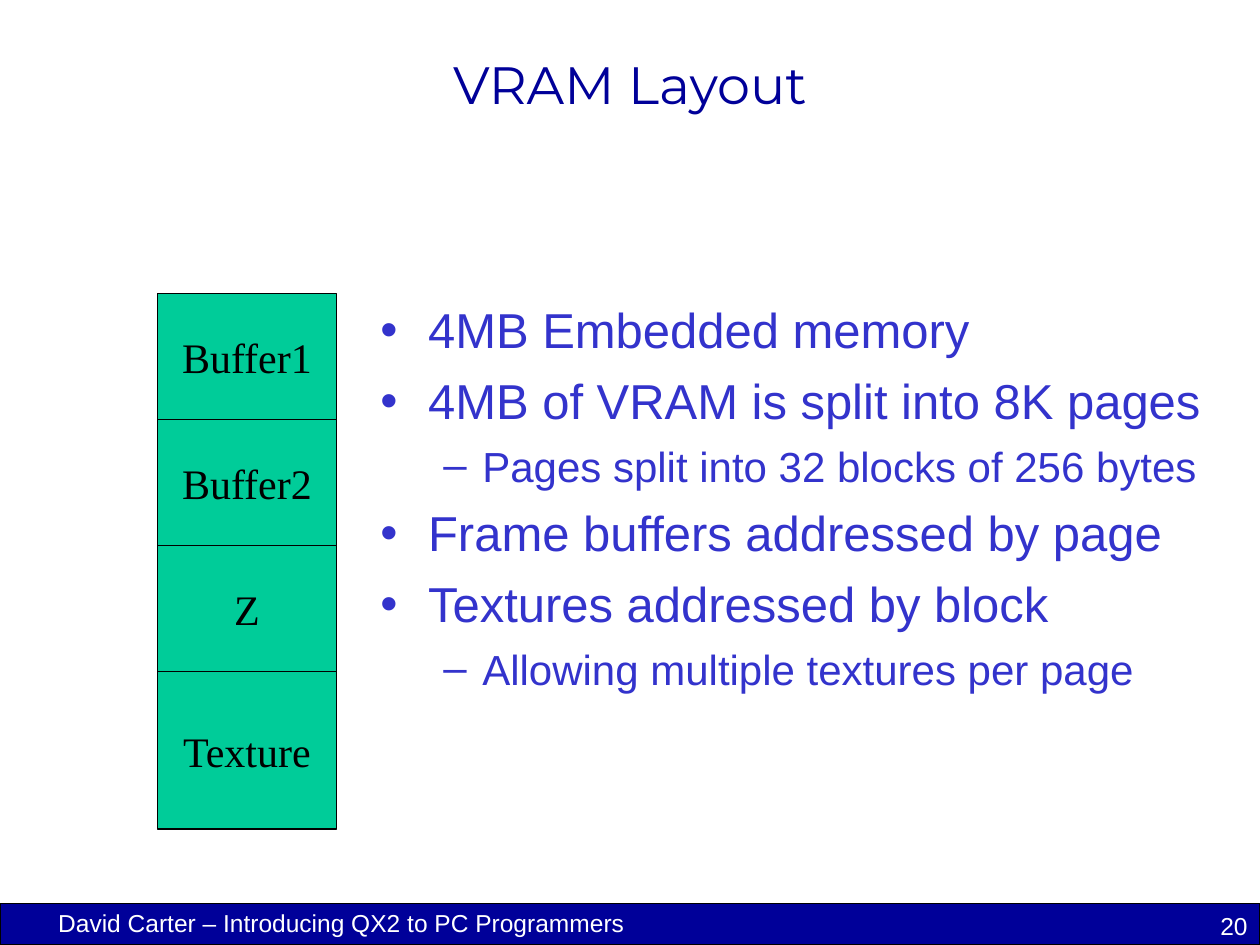
from lxml import etree
from pptx import Presentation
from pptx.dml.color import RGBColor
from pptx.enum.shapes import MSO_SHAPE
from pptx.enum.text import MSO_ANCHOR, PP_ALIGN
from pptx.oxml.ns import qn
from pptx.util import Inches, Pt

RECTANGLE = MSO_SHAPE.RECTANGLE
TOP, MIDDLE = MSO_ANCHOR.TOP, MSO_ANCHOR.MIDDLE
LEFT, CENTER, RIGHT = PP_ALIGN.LEFT, PP_ALIGN.CENTER, PP_ALIGN.RIGHT

COLORS = {
    "navy": "000099",
    "body": "3333CC",
    "memory": "00CC99",
    "black": "000000",
    "white": "FFFFFF",
}
TITLE = "VRAM Layout"
FOOTER = "David Carter – Introducing QX2 to PC Programmers"
PAGE_NUMBER = "20"
POINTS = [
    (0, "4MB Embedded memory"),
    (0, "4MB of VRAM is split into 8K pages"),
    (1, "Pages split into 32 blocks of 256 bytes"),
    (0, "Frame buffers addressed by page"),
    (0, "Textures addressed by block"),
    (1, "Allowing multiple textures per page"),
]
LEVELS = [
    {"mark": "•", "size": 28, "before": 7, "margin": 0.38, "hang": 0.38},
    {"mark": "–", "size": 24, "before": 6, "margin": 0.81, "hang": 0.31},
]
MEMORY_REGIONS = [("Buffer1", 1), ("Buffer2", 1), ("Z", 1), ("Texture", 1.25)]
MEMORY_LEFT, MEMORY_TOP, MEMORY_WIDTH = 1.25, 2.33, 1.42


def color(key):
    return RGBColor.from_string(COLORS[key])


def style(paragraph, font, size, key, align=LEFT):
    paragraph.alignment = align
    paragraph.font.name = font
    paragraph.font.size = Pt(size)
    paragraph.font.color.rgb = color(key)


def add_rectangle(shapes, box, fill):
    rectangle = shapes.add_shape(RECTANGLE, *map(Inches, box))
    rectangle.shadow.inherit = False
    rectangle.fill.solid()
    rectangle.fill.fore_color.rgb = color(fill)
    rectangle.line.color.rgb = color("black")
    rectangle.line.width = Pt(0.75)
    return rectangle


def add_text(shapes, box, anchor=TOP):
    frame = shapes.add_textbox(*map(Inches, box)).text_frame
    frame.word_wrap = True
    frame.vertical_anchor = anchor
    return frame


def add_line(shapes, box, text, font, size, key, align, anchor=TOP):
    frame = add_text(shapes, box, anchor)
    frame.text = text
    style(frame.paragraphs[0], font, size, key, align)


def add_bullet(paragraph, level):
    properties = paragraph._p.get_or_add_pPr()
    properties.set("marL", str(Inches(level["margin"])))
    properties.set("indent", str(-Inches(level["hang"])))
    etree.SubElement(properties, qn("a:buFont")).set("typeface", "Arial")
    etree.SubElement(properties, qn("a:buChar")).set("char", level["mark"])


def add_points(shapes):
    frame = add_text(shapes, (2.92, 2.33, 6.83, 4.83))
    for index, (depth, text) in enumerate(POINTS):
        level = LEVELS[depth]
        point = frame.add_paragraph() if index else frame.paragraphs[0]
        point.text = text
        point.level = depth
        add_bullet(point, level)
        style(point, "Arial", level["size"], "body")
        if index:
            point.space_before = Pt(level["before"])


def add_memory_map(shapes):
    memory = shapes.add_group_shape()
    top = MEMORY_TOP
    for name, height in MEMORY_REGIONS:
        box = (MEMORY_LEFT, top, MEMORY_WIDTH, height)
        frame = add_rectangle(memory.shapes, box, "memory").text_frame
        frame.word_wrap = False
        frame.vertical_anchor = MIDDLE
        frame.text = name
        style(frame.paragraphs[0], "Times New Roman", 24, "black", CENTER)
        top += height


def main():
    presentation = Presentation()
    presentation.slide_width = Inches(10)
    presentation.slide_height = Inches(7.5)
    shapes = presentation.slides.add_slide(presentation.slide_layouts[6]).shapes

    add_rectangle(shapes, (0, 7.17, 10, 0.33), "navy")
    add_line(shapes, (0.25, 7.16, 4.92, 0.28), FOOTER, "Arial", 14, "white", CENTER)
    add_line(shapes, (0.75, 0.25, 8.5, 0.83), TITLE, "Montserrat", 30, "navy",
             CENTER, MIDDLE)
    add_points(shapes)
    add_memory_map(shapes)
    add_line(shapes, (7.92, 7.18, 2.08, 0.33), PAGE_NUMBER, "Arial", 14, "white",
             RIGHT)

    presentation.save("out.pptx")


if __name__ == "__main__":
    main()
